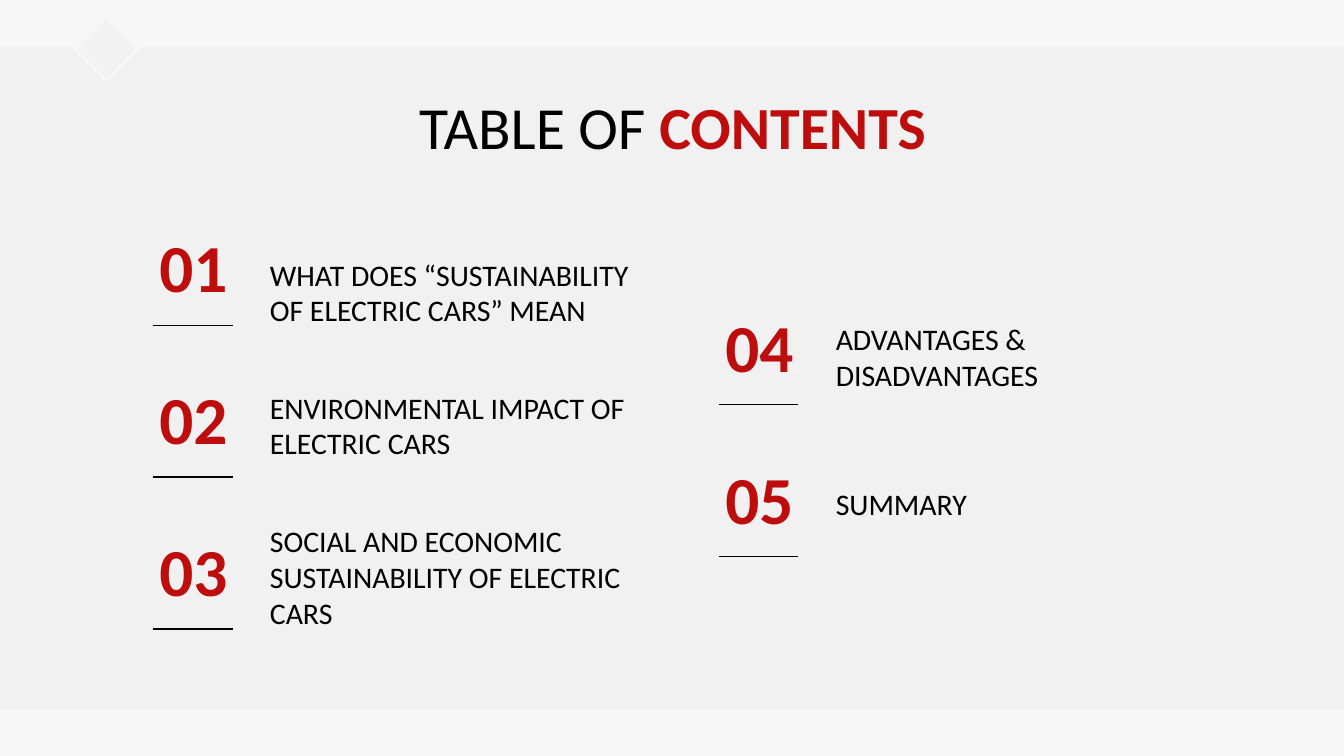
"""Build a table of contents slide with five numbered topics."""
from pptx import Presentation
from pptx.dml.color import RGBColor
from pptx.enum.shapes import MSO_CONNECTOR, MSO_SHAPE
from pptx.enum.text import MSO_ANCHOR as Anchor, MSO_AUTO_SIZE, PP_ALIGN as Align
from pptx.oxml.ns import qn
from pptx.util import Inches, Pt
from lxml import etree


def color(value):
    return RGBColor.from_string(value)


def write(box, place, runs, size, align, anchor=Anchor.TOP):
    box.left, box.top, box.width, box.height = map(Inches, place)
    frame = box.text_frame
    settings = {
        "word_wrap": True,
        "auto_size": MSO_AUTO_SIZE.NONE,
        "vertical_anchor": anchor,
        "margin_left": Inches(0.1),
        "margin_top": Inches(0.1),
        "margin_right": Inches(0.1),
        "margin_bottom": Inches(0.1),
    }
    for name, value in settings.items():
        setattr(frame, name, value)
    para = frame.paragraphs[0]
    para.alignment = align
    for text, text_color, bold in runs:
        span = para.add_run()
        span.text = text
        for name, value in {"name": "Calibri", "size": Pt(size), "bold": bold}.items():
            setattr(span.font, name, value)
        span.font.color.rgb = color(text_color)


RED, BLACK, PALE = "BD0D0D", "000000", "F7F7F7"

deck = Presentation()
deck.slide_width = Inches(10)
deck.slide_height = Inches(10) * 9 // 16
slide = deck.slides.add_slide(deck.slide_layouts[5])
slide.background.fill.solid()
slide.background.fill.fore_color.rgb = color(PALE)
shapes = slide.shapes

panel = shapes.add_shape(MSO_SHAPE.RECTANGLE, Inches(0), Inches(0.35), Inches(10), Inches(4.93))
diamond = shapes.add_shape(MSO_SHAPE.DIAMOND, Inches(0.55), Inches(0.12), Inches(0.48), Inches(0.48))
for shape, fill in ((panel, "F1F1F1"), (diamond, "F2F2F2")):
    shape.shadow.inherit = False
    shape.fill.solid()
    shape.fill.fore_color.rgb = color(fill)
panel.line.fill.background()
diamond.line.color.rgb = color(PALE)
diamond.line.width = Pt(1.5)

title = shapes.title
shapes._spTree.append(title._element)
title_runs = [("TABLE OF ", BLACK, False), ("CONTENTS", RED, True)]
write(title, (0.79, 0.57, 8.43, 0.63), title_runs, 32, Align.CENTER)

columns = [
    (0.97, 1.58, [
        ("WHAT DOES “SUSTAINABILITY OF ELECTRIC CARS” MEAN", 2.11),
        ("ENVIRONMENTAL IMPACT OF ELECTRIC CARS", 3.1),
        ("SOCIAL AND ECONOMIC SUSTAINABILITY OF ELECTRIC CARS", 4.36),
    ]),
    (5.18, 2.17, [
        ("ADVANTAGES & DISADVANTAGES", 2.59),
        ("SUMMARY", 3.55),
    ]),
]
number = 0
for left, first_top, topics in columns:
    for row, (topic, topic_top) in enumerate(topics):
        number += 1
        top = first_top + row * 1.13
        number_box = shapes.add_textbox(0, 0, 0, 0)
        write(number_box, (left, top, 0.94, 0.84), [(f"{number:02}", RED, True)], 36, Align.CENTER)
        topic_box = shapes.add_textbox(0, 0, 0, 0)
        write(topic_box, (left + 0.94, topic_top, 2.91, 0.43), [(topic, BLACK, False)], 16,
              Align.LEFT, Anchor.BOTTOM)
        rule_top = Inches(top + 0.84)
        rule = shapes.add_connector(MSO_CONNECTOR.STRAIGHT, Inches(left + 0.17), rule_top,
                                    Inches(left + 0.76), rule_top)
        rule.line.color.rgb = color(BLACK)
        rule.line.width = Pt(0.75)
        etree.SubElement(rule._element.spPr, qn("a:effectLst"))

deck.save("out.pptx")
